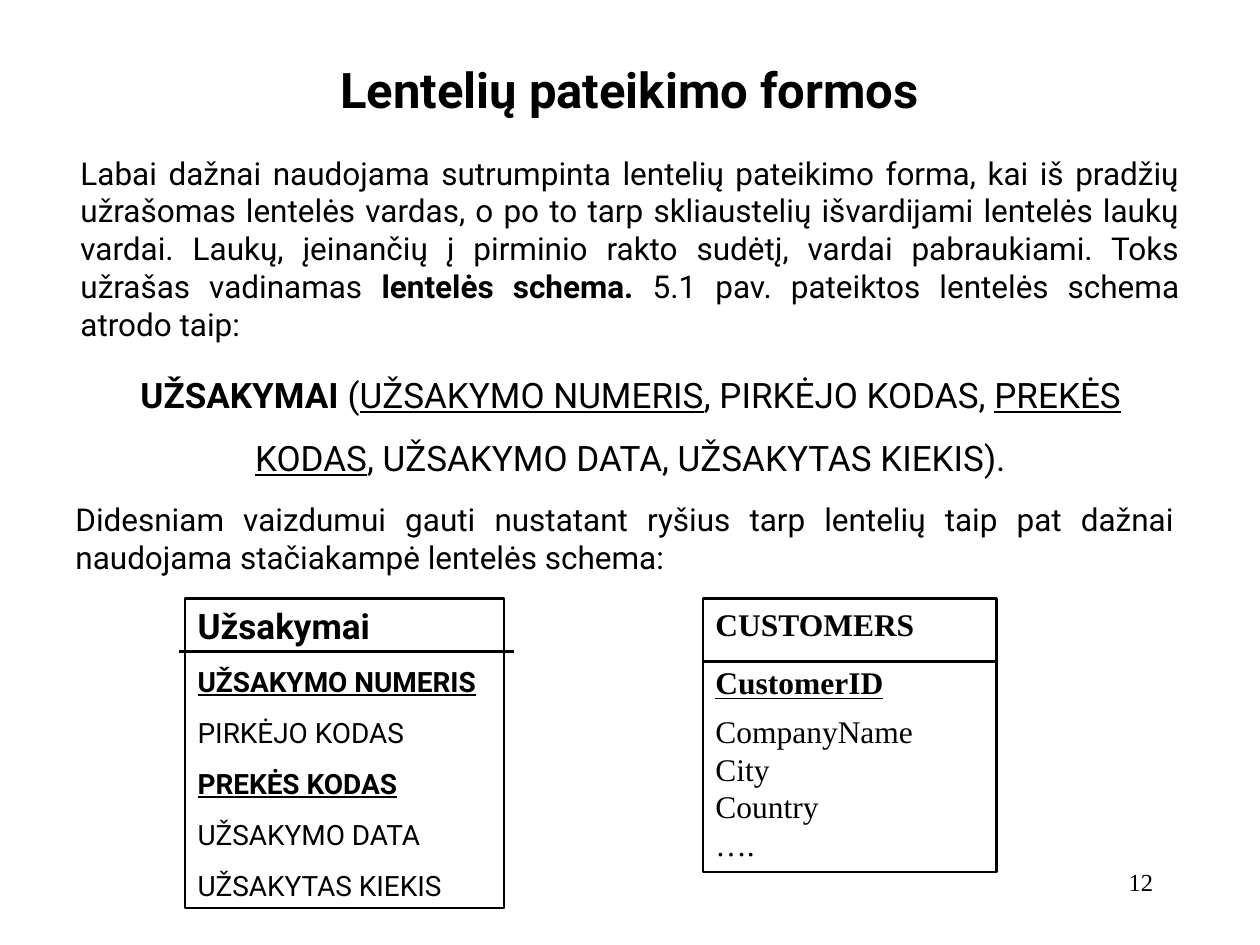
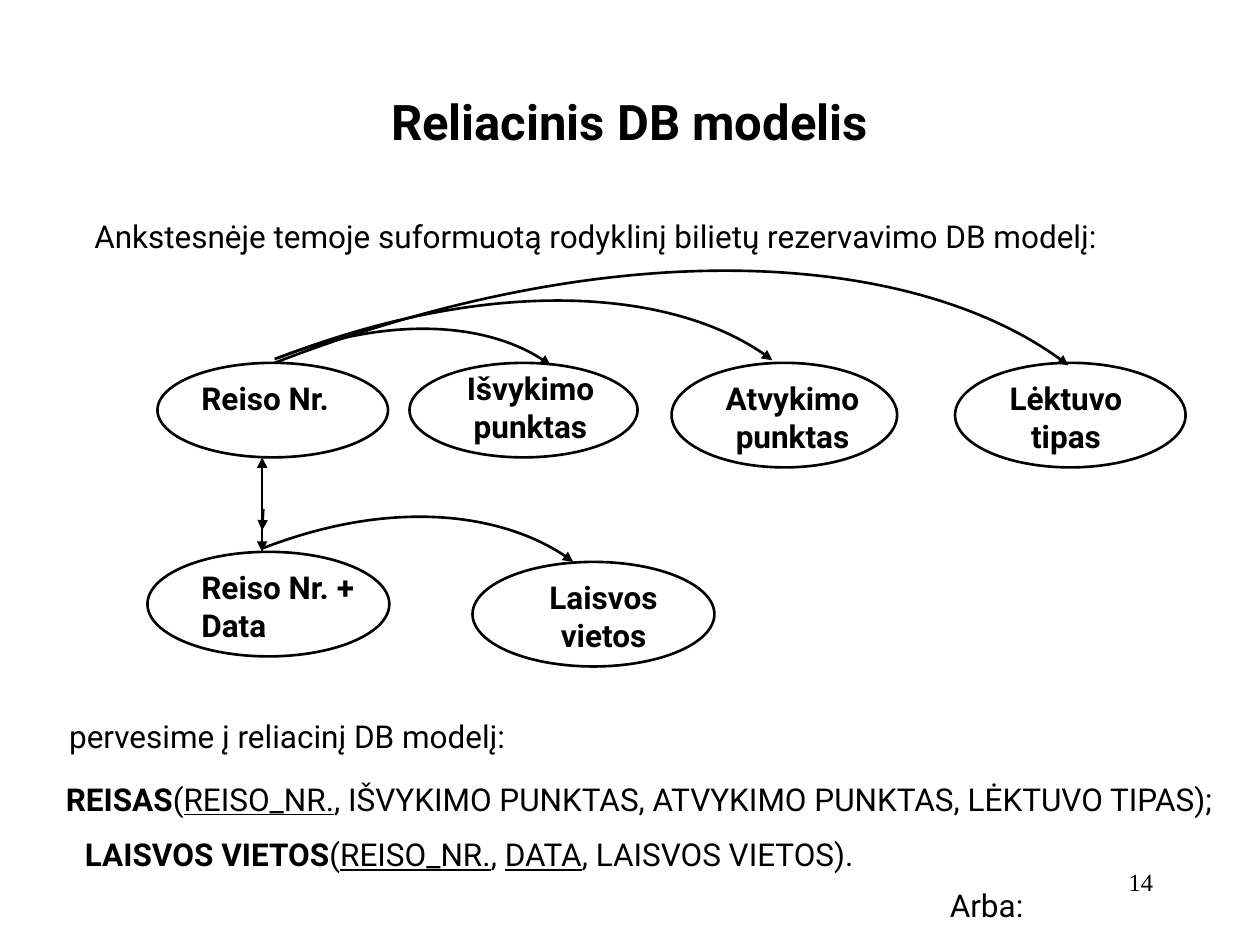
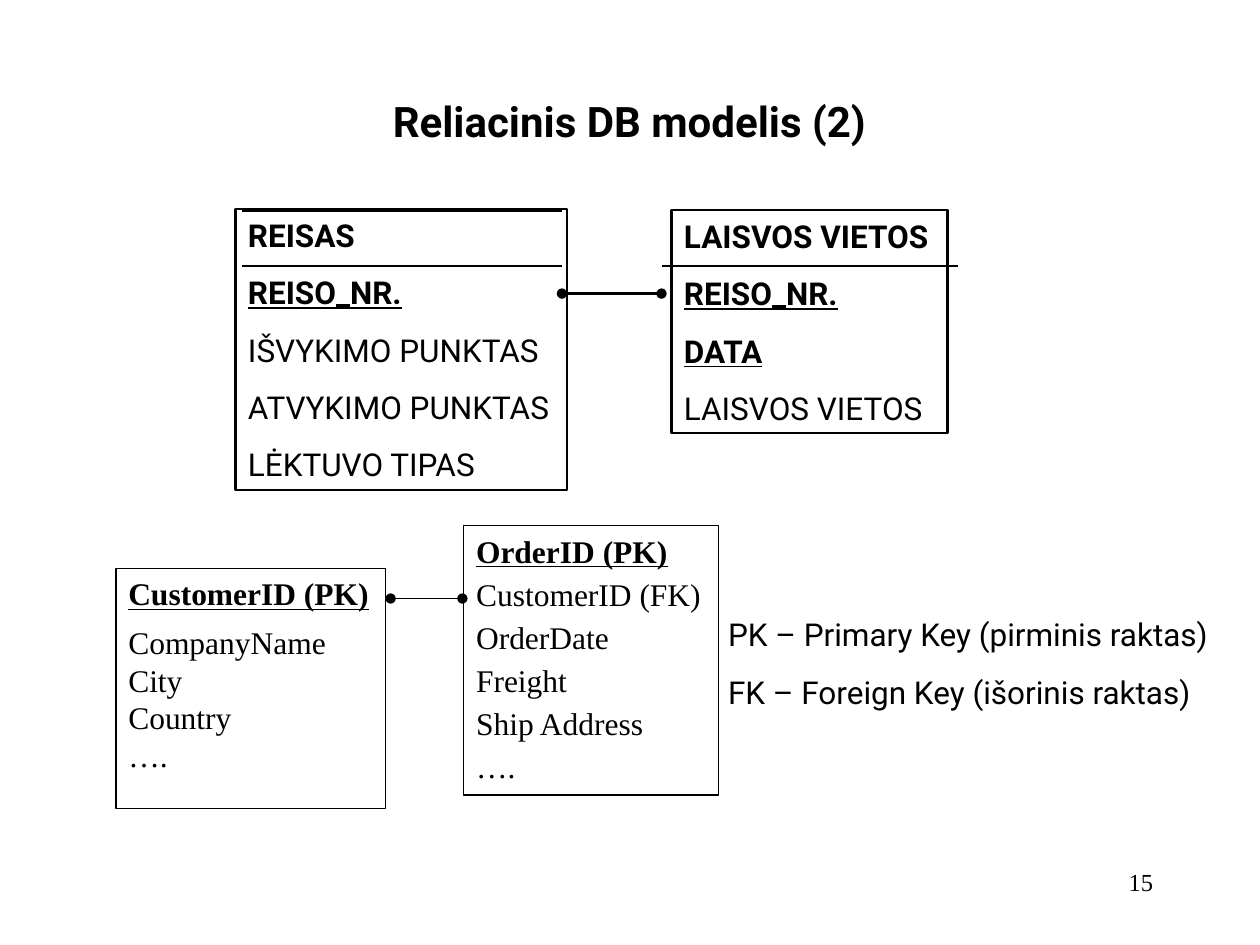
"""Build three slides on table schemas and the relational model."""
from lxml.etree import SubElement
from pptx import Presentation
from pptx.dml.color import RGBColor
from pptx.enum.shapes import MSO_CONNECTOR, MSO_SHAPE
from pptx.enum.text import MSO_ANCHOR, MSO_AUTO_SIZE, PP_ALIGN
from pptx.oxml.ns import qn
from pptx.util import Inches, Pt

HUES = {"ink": "000000", "paper": "FFFFFF"}
INK = RGBColor.from_string(HUES["ink"])
PAPER = RGBColor.from_string(HUES["paper"])
SANS, SERIF = "Roboto", "Times New Roman"
LEFT, MID, RIGHT, FULL = PP_ALIGN.LEFT, PP_ALIGN.CENTER, PP_ALIGN.RIGHT, PP_ALIGN.JUSTIFY
TOP, CORE = MSO_ANCHOR.TOP, MSO_ANCHOR.MIDDLE


def write(item, paras, size=18, face=SANS, align=LEFT, anchor=CORE,
          wrap=True, before=0, after=0, space=None):
    frame = item.text_frame
    frame.auto_size = MSO_AUTO_SIZE.NONE
    frame.word_wrap = wrap
    frame.vertical_anchor = anchor
    for num, runs in enumerate(paras):
        para = frame.add_paragraph() if num else frame.paragraphs[0]
        para.alignment = align
        para.space_before, para.space_after = Pt(before), Pt(after)
        if space:
            para.line_spacing = space
        para.font.name, para.font.size = face, Pt(size)
        para.font.color.rgb = INK
        for mark, text in runs:
            run = para.add_run()
            run.text = text
            font = para.font if len(runs) == 1 else run.font
            font.bold = "b" in mark
            font.underline = "u" in mark


def stroke(item, width=1.5, head=None, tail=None):
    item.line.color.rgb = INK
    item.line.width = Pt(width)
    props = item._element.spPr
    for tag, kind in (("a:headEnd", head), ("a:tailEnd", tail)):
        if kind:
            SubElement(props.find(qn("a:ln")), qn(tag)).set("type", kind)
    SubElement(props, qn("a:effectLst"))


deck = Presentation()
deck.slide_width, deck.slide_height = Inches(10), Inches(7.5)

heads = [
    ("Lentelių pateikimo formos", (1.99, 0.33, 6.01, 0.75), 28, "12"),
    ("Reliacinis DB modelis", (2.42, 0.58, 5.15, 0.76), 28, "14"),
    ("Reliacinis DB modelis (2)", (2.67, 0.58, 4.65, 0.76), 24, "15"),
]
pages = []
for name, place, size, num in heads:
    page = deck.slides.add_slide(deck.slide_layouts[5])
    page.background.fill.solid()
    page.background.fill.fore_color.rgb = PAPER
    title = page.shapes.title
    title.left, title.top, title.width, title.height = map(Inches, place)
    write(title, [[("b", name)]], size, align=MID)
    foot = page.shapes.add_textbox(*map(Inches, (7.17, 6.83, 2.08, 0.5)))
    write(foot, [[("", num)]], 14, SERIF, RIGHT, TOP)
    pages.append(page.shapes)
forms, model, links = pages

texts = [
    (forms, (0.54, 1.17, 8.92, 1.6), dict(align=FULL, anchor=TOP), [[
        ("", "Labai dažnai naudojama sutrumpinta lentelių pateikimo forma, kai iš "
             "pradžių užrašomas lentelės vardas, o po to tarp skliaustelių išvardijami "
             "lentelės laukų vardai. Laukų, įeinančių į pirminio rakto sudėtį, vardai "
             "pabraukiami. Toks užrašas vadinamas "),
        ("b", "lentelės schema."),
        ("", " 5.1 pav. pateiktos lentelės schema atrodo taip:")]]),
    (forms, (0.6, 2.75, 8.81, 1.1), dict(size=20, align=MID, space=1.5), [[
        ("b", "UŽSAKYMAI "), ("", "("), ("u", "UŽSAKYMO NUMERIS"),
        ("", ", PIRKĖJO KODAS, "), ("u", "PREKĖS KODAS"),
        ("", ", UŽSAKYMO DATA, UŽSAKYTAS KIEKIS).")]]),
    (forms, (0.5, 3.92, 8.92, 0.7), dict(align=FULL, anchor=TOP), [[
        ("", "Didesniam vaizdumui gauti nustatant ryšius tarp lentelių taip pat "
             "dažnai naudojama stačiakampė lentelės schema:")]]),
    (model, (0.65, 1.67, 8.7, 0.4), {}, [[
        ("", "Ankstesnėje temoje suformuotą rodyklinį bilietų rezervavimo DB modelį:")]]),
    (model, (0.45, 5.64, 5.89, 0.4), {}, [[("", "pervesime į reliacinį DB modelį:")]]),
    (model, (0.24, 6.14, 9.67, 0.4), dict(align=MID), [[
        ("b", "REISAS"), ("", "("), ("u", "REISO_NR."),
        ("", ", IŠVYKIMO PUNKTAS, ATVYKIMO PUNKTAS, LĖKTUVO TIPAS);")]]),
    (model, (0.5, 6.58, 6.45, 0.4), dict(align=MID, wrap=False), [[
        ("b", "LAISVOS VIETOS"), ("", "("), ("u", "REISO_NR."), ("", ", "),
        ("u", "DATA"), ("", ", LAISVOS VIETOS).")]]),
    (model, (7.42, 6.98, 0.82, 0.4), dict(align=MID, wrap=False), [[("", "Arba:")]]),
    (links, (5.68, 4.83, 4.14, 0.86), dict(wrap=False, before=11.2), [
        [("", "PK – Primary Key (pirminis raktas)")],
        [("", "FK – Foreign Key (išorinis raktas)")]]),
]
for page, place, style, paras in texts:
    write(page.add_textbox(*map(Inches, place)), paras, **style)

nodes = [
    ("Reiso Nr.", (1.25, 2.88, 1.83, 0.75), (1.5, 2.96, 1.42, 0.4), LEFT),
    ("Išvykimo punktas", (3.25, 2.88, 1.81, 0.75), (3.42, 2.88, 1.58, 0.7), MID),
    ("Atvykimo punktas", (5.33, 2.88, 1.79, 0.83), (5.58, 2.96, 1.42, 0.7), MID),
    ("Lėktuvo tipas", (7.58, 2.88, 1.83, 0.83), (7.75, 2.96, 1.42, 0.7), MID),
    ("Reiso Nr. + Data", (1.17, 4.38, 1.92, 0.83), (1.5, 4.46, 1.42, 0.7), LEFT),
    ("Laisvos vietos", (3.75, 4.46, 1.92, 0.83), (4.08, 4.54, 1.42, 0.7), MID),
]
for name, place, spot, align in nodes:
    node = model.add_shape(MSO_SHAPE.OVAL, *map(Inches, place))
    node.fill.background()
    stroke(node)
    label = model.add_textbox(*map(Inches, spot))
    write(label, [[("b", name)]], align=align, anchor=TOP)

arcs = [
    (2.18, 2.88, 8.48, 2.9),
    (2.18, 2.85, 4.37, 2.9),
    (2.21, 2.84, 6.13, 2.86),
    (2.09, 4.35, 4.55, 4.46),
]
for left, start, right, end in arcs:
    span = right - left
    bends = [(left + 0.44 * span, start - 0.17 * span),
             (right - 0.18 * span, end - 0.14 * span), (right, end)]
    pen = model.build_freeform(Inches(left), Inches(start))
    pen.add_line_segments([(Inches(x), Inches(y)) for x, y in bends], close=False)
    arc = pen.convert_to_shape()
    arc.fill.background()
    stroke(arc, tail="triangle")
    route = arc._element.find(".//" + qn("a:path"))
    steps = route.findall(qn("a:lnTo"))
    curve = SubElement(route, qn("a:cubicBezTo"))
    for step in steps:
        curve.append(step[0])
        route.remove(step)

wide = dict(wrap=False, before=11.2)
serif = dict(face=SERIF, anchor=TOP)
boxes = [
    (forms, (1.47, 4.75, 2.53, 2.46), 1.25, dict(size=16, wrap=False, before=10), [
        ("b", "Užsakymai"), ("bu", "UŽSAKYMO NUMERIS"), ("", "PIRKĖJO KODAS"),
        ("bu", "PREKĖS KODAS"), ("", "UŽSAKYMO DATA"), ("", "UŽSAKYTAS KIEKIS")]),
    (forms, (5.58, 4.75, 2.33, 2.17), 1.25, serif, [
        ("b", "CUSTOMERS"), ("bu", "CustomerID"), ("", "CompanyName"),
        ("", "City"), ("", "Country"), ("", "….")]),
    (links, (1.87, 1.66, 2.63, 2.23), 1.25, wide, [
        ("b", "REISAS"), ("bu", "REISO_NR."), ("", "IŠVYKIMO PUNKTAS"),
        ("", "ATVYKIMO PUNKTAS"), ("", "LĖKTUVO TIPAS")]),
    (links, (5.33, 1.67, 2.19, 1.77), 1.25, wide, [
        ("b", "LAISVOS VIETOS"), ("bu", "REISO_NR."), ("bu", "DATA"),
        ("", "LAISVOS VIETOS")]),
    (links, (0.92, 4.51, 2.14, 1.91), 0.75, serif, [
        ("bu", "CustomerID (PK)"), ("", "CompanyName"), ("", "City"),
        ("", "Country"), ("", "….")]),
    (links, (3.68, 4.17, 2.02, 2.14), 0.75, dict(serif, after=3), [
        ("bu", "OrderID (PK)"), ("", "CustomerID (FK)"), ("", "OrderDate"),
        ("", "Freight"), ("", "Ship Address"), ("", "….")]),
]
cards = []
for page, place, width, style, rows in boxes:
    card = page.add_shape(MSO_SHAPE.RECTANGLE, *map(Inches, place))
    card.fill.solid()
    card.fill.fore_color.rgb = PAPER
    stroke(card, width)
    write(card, [[row] for row in rows], **style)
    cards.append(card.text_frame.paragraphs)
cards[0][0].font.size = Pt(20)
for para in cards[1][:2] + cards[4][:1]:
    para.space_before = para.space_after = Pt(6)

lines = [
    (forms, (1.42, 5.17, 4.08, 5.17), 1.5, None, None),
    (forms, (5.58, 5.25, 7.92, 5.25), 1.5, None, None),
    (model, (2.08, 3.63, 2.08, 4.38), 1.5, "triangle", "triangle"),
    (model, (2.09, 4.04, 2.08, 4.21), 1.5, None, "triangle"),
    (links, (1.92, 1.67, 4.46, 1.67), 1.5, None, None),
    (links, (1.92, 2.11, 4.46, 2.11), 1.5, None, None),
    (links, (5.25, 2.11, 7.6, 2.11), 1.5, None, None),
    (links, (4.46, 2.33, 5.25, 2.33), 1.5, "oval", "oval"),
    (links, (3.1, 4.75, 3.67, 4.75), 0.75, "oval", "oval"),
]
for page, ends, width, head, tail in lines:
    line = page.add_connector(MSO_CONNECTOR.STRAIGHT, *map(Inches, ends))
    stroke(line, width, head, tail)

deck.save("out.pptx")
